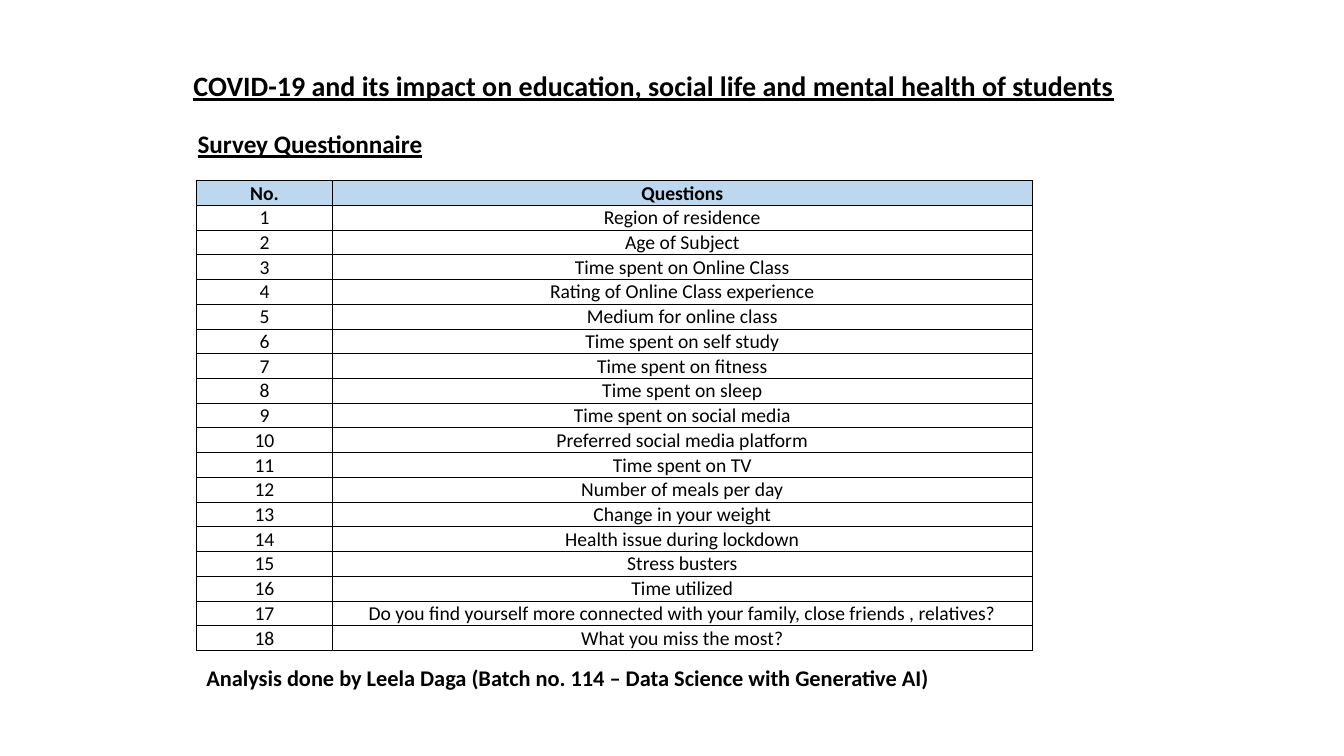
from lxml.etree import SubElement
from pptx import Presentation
from pptx.dml.color import RGBColor
from pptx.enum.text import MSO_ANCHOR, MSO_AUTO_SIZE, PP_ALIGN
from pptx.oxml.ns import qn
from pptx.util import Cm, Pt


def color(code):
    return RGBColor.from_string(code)


def write(frame, text, size=14, bold=False, line=False, align=PP_ALIGN.LEFT):
    para = frame.paragraphs[0]
    para.alignment = align
    run = para.add_run()
    run.text = text
    font = run.font
    font.name, font.size = "Calibri", Pt(size)
    font.bold, font.underline = bold, line
    font.color.rgb = color("000000")


deck = Presentation()
deck.slide_width, deck.slide_height = Cm(33.87), Cm(19.05)
slide = deck.slides.add_slide(deck.slide_layouts[5])

# Title
title = slide.shapes.title
title.left, title.top = Cm(4.24), Cm(1.6)
title.width, title.height = Cm(24.46), Cm(1.11)
frame = title.text_frame
frame.word_wrap = True
frame.auto_size = MSO_AUTO_SIZE.SHAPE_TO_FIT_TEXT
frame.vertical_anchor = MSO_ANCHOR.TOP
write(frame, "COVID-19 and its impact on education, social life and mental health of students",
      size=20, bold=True, line=True, align=PP_ALIGN.CENTER)

# Subtitle and credit line
labels = [
    ("Survey Questionnaire", 4.73, 3.12, 6.22, 1.02, 18, True),
    ("Analysis done by Leela Daga (Batch no. 114 – Data Science with Generative AI)",
     4.95, 16.61, 18.8, 0.94, 16, False),
]
for text, left, top, width, height, size, line in labels:
    box = slide.shapes.add_textbox(Cm(left), Cm(top), Cm(width), Cm(height))
    box.text_frame.word_wrap = False
    box.text_frame.auto_size = MSO_AUTO_SIZE.SHAPE_TO_FIT_TEXT
    write(box.text_frame, text, size=size, bold=True, line=line)

# Question table
items = [
    "Region of residence",
    "Age of Subject",
    "Time spent on Online Class",
    "Rating of Online Class experience",
    "Medium for online class",
    "Time spent on self study",
    "Time spent on fitness",
    "Time spent on sleep",
    "Time spent on social media",
    "Preferred social media platform",
    "Time spent on TV",
    "Number of meals per day",
    "Change in your weight",
    "Health issue during lockdown",
    "Stress busters",
    "Time utilized",
    "Do you find yourself more connected with your family, close friends , relatives?",
    "What you miss the most?",
]
rows = [("No.", "Questions")] + [(str(num), item) for num, item in enumerate(items, 1)]
last = len(rows) - 1
table = slide.shapes.add_table(len(rows), 2, Cm(4.95), Cm(4.55), Cm(21.06), Cm(11.84)).table
table.first_row = table.horz_banding = False
table.columns[0].width, table.columns[1].width = Cm(3.43), Cm(17.63)

for row, texts in enumerate(rows):
    for col, text in enumerate(texts):
        cell = table.cell(row, col)
        cell.margin_left = cell.margin_right = cell.margin_top = Cm(0.02)
        cell.margin_bottom = 0
        cell.vertical_anchor = MSO_ANCHOR.BOTTOM
        write(cell.text_frame, text, bold=row == 0, align=PP_ALIGN.CENTER)

        # Borders: heavy around the table and under the header
        heavy = {"L": col == 0, "R": col == 1, "T": row < 2, "B": row in (0, last)}
        props = cell._tc.get_or_add_tcPr()
        for side, thick in heavy.items():
            edge = SubElement(props, qn("a:ln" + side), w=str(Pt(1 if thick else 0.5)))
            paint = SubElement(edge, qn("a:solidFill"))
            SubElement(paint, qn("a:srgbClr"), val="000000")

        if row == 0:
            cell.fill.solid()
            cell.fill.fore_color.rgb = color("BDD7EE")
        else:
            cell.fill.background()

deck.save("out.pptx")
